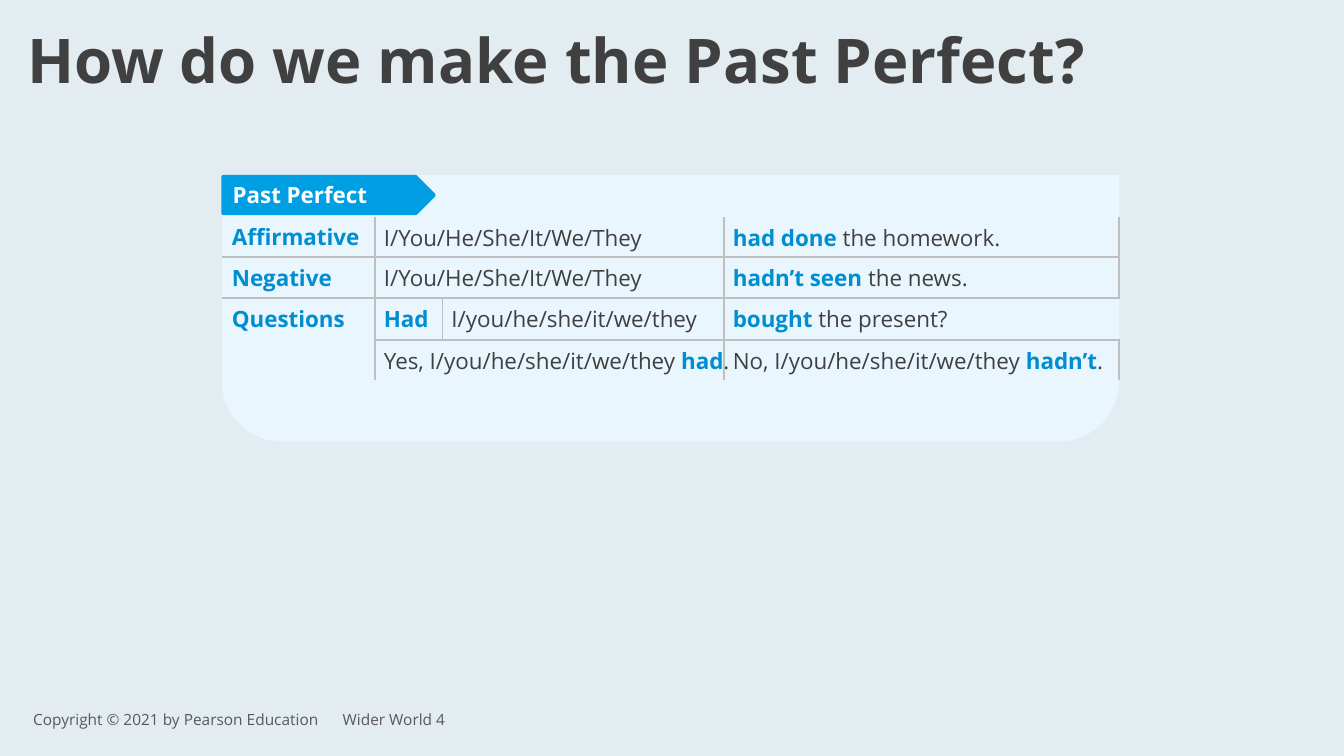
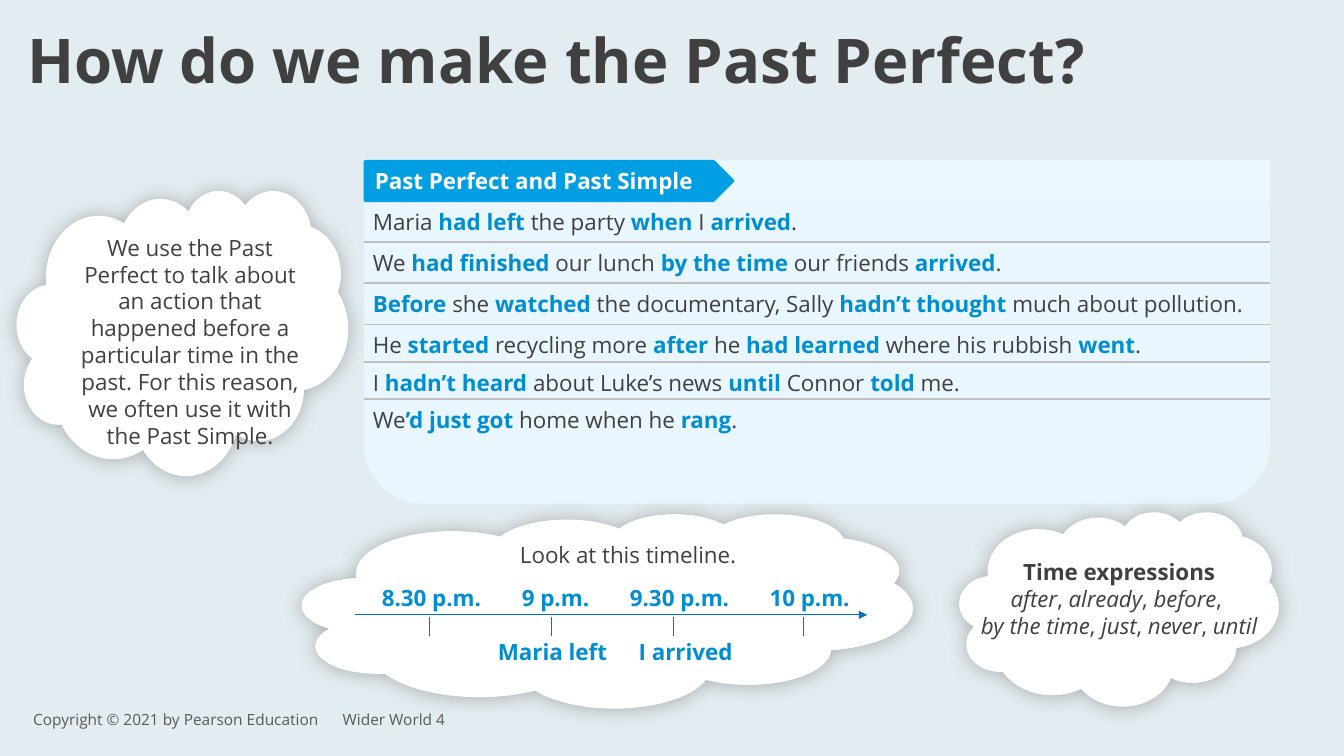
from lxml import etree
from pptx import Presentation
from pptx.dml.color import RGBColor
from pptx.enum.shapes import MSO_CONNECTOR, MSO_SHAPE
from pptx.enum.text import MSO_ANCHOR, PP_ALIGN
from pptx.oxml import parse_xml
from pptx.oxml.ns import nsdecls, qn
from pptx.util import Inches, Pt

BACKGROUND = RGBColor(0xE3, 0xEC, 0xF0)
PANEL = RGBColor(0xEA, 0xF6, 0xFE)
PANEL_TOP = RGBColor(0xEB, 0xF7, 0xFF)
BANNER = RGBColor(0x00, 0x9E, 0xE3)
ACCENT = RGBColor(0x00, 0x8E, 0xD1)
AXIS = RGBColor(0x00, 0x70, 0xC0)
INK = RGBColor(0x40, 0x40, 0x40)
GREY = RGBColor(0x59, 0x59, 0x59)
RULE = RGBColor(0xBF, 0xBF, 0xBF)
WHITE = RGBColor(0xFF, 0xFF, 0xFF)
FONT = "Open Sans"
PLAIN_TABLE = "{2D5ABB26-0587-4C30-8999-92F81FD0307C}"
KEY_WORDS = {"color": ACCENT, "bold": True}

# Content: words between asterisks are emphasised
TITLE = "How do we make the Past Perfect?"
FOOTER = "Copyright © 2021 by Pearson Education\tWider World 4"

FORMS = {
    "heading": "Past Perfect", "place": (2.2, 1.74), "banner": (2.1, 0.37),
    "columns": [1.52, 0.67, 2.79, 3.92],
    "rows": [0.41, 0.4, 0.41, 0.41, 0.4], "panel_top": 3.13,
    # row, column, rows spanned, columns spanned, label in the cell
    "cells": [
        (0, 0, 1, 1, ""), (0, 1, 1, 2, ""), (0, 3, 1, 1, ""),
        (1, 0, 1, 1, "*Affirmative*"), (1, 1, 1, 2, ""), (1, 3, 1, 1, ""),
        (2, 0, 1, 1, "*Negative*"), (2, 1, 1, 2, ""), (2, 3, 1, 1, ""),
        (3, 0, 2, 1, "*Questions*"), (3, 1, 1, 1, ""), (3, 2, 1, 1, ""),
        (3, 3, 1, 1, ""), (4, 1, 1, 2, ""), (4, 3, 1, 1, ""),
    ],
    # row, column, width, phrase laid over the grid
    "phrases": [
        (1, 1, 3.25, "I/You/He/She/It/We/They"),
        (1, 3, 3.79, "*had done* the homework."),
        (2, 1, 3.25, "I/You/He/She/It/We/They"),
        (2, 3, 3.79, "*hadn’t seen* the news."),
        (3, 1, 0.74, "*Had*"),
        (3, 2, 2.74, "I/you/he/she/it/we/they"),
        (3, 3, 3.79, "*bought* the present?"),
        (4, 1, 3.74, "Yes, I/you/he/she/it/we/they *had*."),
        (4, 3, 4.15, "No, I/you/he/she/it/we/they *hadn’t*."),
    ],
}

SENTENCES = [
    "Maria *had left* the party *when* I *arrived*.",
    "We *had finished* our lunch *by the time* our friends *arrived*.",
    "*Before* she *watched* the documentary, Sally *hadn’t thought* much about pollution.",
    "He *started* recycling more *after* he *had learned* where his rubbish *went*.",
    "I *hadn’t heard* about Luke’s news *until* Connor *told* me.",
    "We*’d just got* home when he *rang*.",
]
EXAMPLES = {
    "heading": "Past Perfect and Past Simple", "place": (3.61, 1.59),
    "banner": (3.65, 0.39), "columns": [8.99],
    "rows": [0.41, 0.4, 0.41, 0.41, 0.37, 0.37, 0.37], "panel_top": 3.75,
    "cells": [(row, 0, 1, 1, "") for row in range(len(SENTENCES) + 1)],
    "phrases": [(row, 0, 8.96, text) for row, text in enumerate(SENTENCES, 1)],
}

CLOUDS = [(0.18, 1.9, 3.26, 2.8), (3.01, 5.11, 6.03, 1.9), (9.53, 5.09, 3.14, 1.9)]
USAGE = ("We use the Past Perfect to talk about an action that happened before a "
         "particular time in the past. For this reason, we often use it with the "
         "Past Simple.")
TIMELINE_INTRO = "Look at this timeline."
TICKS = [4.26, 5.47, 6.68, 7.97]
TIMES = [(4.28, "8.30 p.m."), (5.51, "9 p.m."), (6.74, "9.30 p.m."), (8.03, "10 p.m.")]
EVENTS = [(5.48, "Maria left"), (6.8, "I arrived")]
EXPRESSIONS_HEADING = "Time expressions"
EXPRESSIONS = ["*after*, *already*, *before*, ", "*by the time*, *just*, *never*, *until*"]


def inches(*lengths):
    return [Inches(length) for length in lengths]


def style(font, size=16, color=INK, bold=False, italic=False):
    font.name, font.size, font.bold, font.italic = FONT, Pt(size), bold, italic
    font.color.rgb = color


def write(para, text, emphasis):
    """Add runs, giving the parts between asterisks the emphasis style."""
    for index, part in enumerate(text.split("*")):
        if part:
            span = para.add_run()
            span.text = part
            style(span.font, **(emphasis if index % 2 else {}))


def add_box(page, place):
    box = page.shapes.add_textbox(*inches(*place))
    box.text_frame.word_wrap = True
    return box


def add_text(page, place, text, align=PP_ALIGN.LEFT, **look):
    box = add_box(page, place)
    para = box.text_frame.paragraphs[0]
    para.text = text
    para.alignment = align
    style(para.runs[0].font, **look)
    return box


def add_shape(page, kind, place, fill, line=None):
    shape = page.shapes.add_shape(kind, *inches(*place))
    shape.shadow.inherit = False
    shape.fill.solid()
    shape.fill.fore_color.rgb = fill
    if line is None:
        shape.line.fill.background()
    else:
        shape.line.color.rgb = line
        shape.line.width = Pt(2)
    return shape


def add_cloud(page, place):
    cloud = add_shape(page, MSO_SHAPE.CLOUD, place, WHITE, WHITE)
    effects = cloud._element.spPr.find(qn("a:effectLst"))
    effects.append(parse_xml(
        f'<a:outerShdw {nsdecls("a")} blurRad="{Pt(14)}" dist="0" dir="0" algn="ctr" '
        f'rotWithShape="0"><a:srgbClr val="{GREY}"><a:alpha val="41000"/>'
        '</a:srgbClr></a:outerShdw>'))


def add_line(page, start, end, arrow=False):
    line = page.shapes.add_connector(MSO_CONNECTOR.STRAIGHT, *inches(*start, *end))
    line.line.color.rgb = AXIS
    line.line.width = Pt(0.75)
    if arrow:
        etree.SubElement(line.line._get_or_add_ln(), qn("a:tailEnd"), type="triangle")
    etree.SubElement(line._element.spPr, qn("a:effectLst"))


def add_borders(cell, edges):
    """Draw the named edges; borders come before the fill in the cell properties."""
    properties = cell._tc.get_or_add_tcPr()
    for index, edge in enumerate(edges):
        properties.insert(index, parse_xml(
            f'<a:ln{edge} {nsdecls("a")} w="{Pt(1.5)}"><a:solidFill>'
            f'<a:srgbClr val="{RULE}"/></a:solidFill></a:ln{edge}>'))


def add_grammar_table(page, content):
    left, top = content["place"]
    columns, rows = content["columns"], content["rows"]
    width = sum(columns)

    # Rounded foot behind the table
    foot = add_shape(page, MSO_SHAPE.ROUNDED_RECTANGLE,
                     (left, content["panel_top"], width, 1.25), PANEL)
    foot.adjustments[0] = 0.48

    frame = page.shapes.add_table(len(rows), len(columns),
                                  *inches(left, top, width, sum(rows)))
    table = frame.table
    table.first_row = table.horz_banding = False
    table._tbl.tblPr.find(qn("a:tableStyleId")).text = PLAIN_TABLE
    for column, size in zip(table.columns, columns):
        column.width = Inches(size)
    for row, size in zip(table.rows, rows):
        row.height = Inches(size)

    # Cells: rules only between body cells
    for row, column, tall, wide, text in content["cells"]:
        cell = table.cell(row, column)
        if tall * wide > 1:
            cell.merge(table.cell(row + tall - 1, column + wide - 1))
        cell.fill.solid()
        cell.fill.fore_color.rgb = PANEL if row else PANEL_TOP
        cell.margin_top = Inches(0.05 if tall > 1 else 0.03)
        cell.margin_bottom = Inches(0.03)
        cell.vertical_anchor = MSO_ANCHOR.TOP if tall > 1 else MSO_ANCHOR.MIDDLE
        write(cell.text_frame.paragraphs[0], text, KEY_WORDS)
        if row:
            wanted = {"L": column > 0, "R": wide == 1 and column < len(columns) - 1,
                      "T": row > 1, "B": row + tall < len(rows)}
            add_borders(cell, [edge for edge, drawn in wanted.items() if drawn])

    # Phrases over the grid
    for row, column, size, text in content["phrases"]:
        box = add_box(page, (left + sum(columns[:column]) - 0.01,
                             top + sum(rows[:row]) + 0.02, size, 0.37))
        write(box.text_frame.paragraphs[0], text, KEY_WORDS)

    # Heading banner
    banner = add_shape(page, MSO_SHAPE.PENTAGON,
                       (left + 0.01, top + 0.01, *content["banner"]), BANNER, BANNER)
    banner.text_frame.text = content["heading"]
    banner.text_frame.vertical_anchor = MSO_ANCHOR.MIDDLE
    para = banner.text_frame.paragraphs[0]
    para.alignment = PP_ALIGN.LEFT
    style(para.runs[0].font, color=WHITE, bold=True)


def add_page(deck):
    page = deck.slides.add_slide(deck.slide_layouts[6])
    title = add_text(page, (0.17, 0.25, 12.97, 0.87), TITLE, size=44, bold=True)
    title.text_frame.paragraphs[0].line_spacing = 0.9

    footer = add_text(page, (0.23, 6.94, 6.92, 0.4), FOOTER, size=11, color=GREY)
    footer.text_frame.vertical_anchor = MSO_ANCHOR.MIDDLE
    properties = footer.text_frame.paragraphs[0]._p.get_or_add_pPr()
    tabs = etree.SubElement(properties, qn("a:tabLst"))
    etree.SubElement(tabs, qn("a:tab"), pos=str(Inches(3.07)), algn="l")
    return page


def add_timeline(page):
    add_text(page, (5.04, 5.32, 2.38, 0.37), TIMELINE_INTRO, PP_ALIGN.CENTER)
    add_line(page, (3.52, 6.1), (8.6, 6.1), arrow=True)
    for x in TICKS:
        add_line(page, (x, 6.12), (x, 6.31))
    for top, labels in ((5.75, TIMES), (6.28, EVENTS)):
        for x, label in labels:
            add_text(page, (x - 0.7, top, 1.4, 0.37), label, PP_ALIGN.CENTER, **KEY_WORDS)


def main():
    deck = Presentation()
    deck.slide_width, deck.slide_height = inches(13.33, 7.5)
    backdrop = deck.slide_master.background.fill
    backdrop.solid()
    backdrop.fore_color.rgb = BACKGROUND

    # Slide 1: forms
    add_grammar_table(add_page(deck), FORMS)

    # Slide 2: examples, usage, timeline and time expressions
    page = add_page(deck)
    add_grammar_table(page, EXAMPLES)
    for place in CLOUDS:
        add_cloud(page, place)
    add_text(page, (0.58, 2.27, 2.61, 1.99), USAGE, PP_ALIGN.CENTER)
    add_timeline(page)
    box = add_text(page, (9.62, 5.49, 2.96, 0.91), EXPRESSIONS_HEADING,
                   PP_ALIGN.CENTER, bold=True)
    for line in EXPRESSIONS:
        para = box.text_frame.add_paragraph()
        para.alignment = PP_ALIGN.CENTER
        write(para, line, {"italic": True})

    deck.save("out.pptx")


if __name__ == "__main__":
    main()
